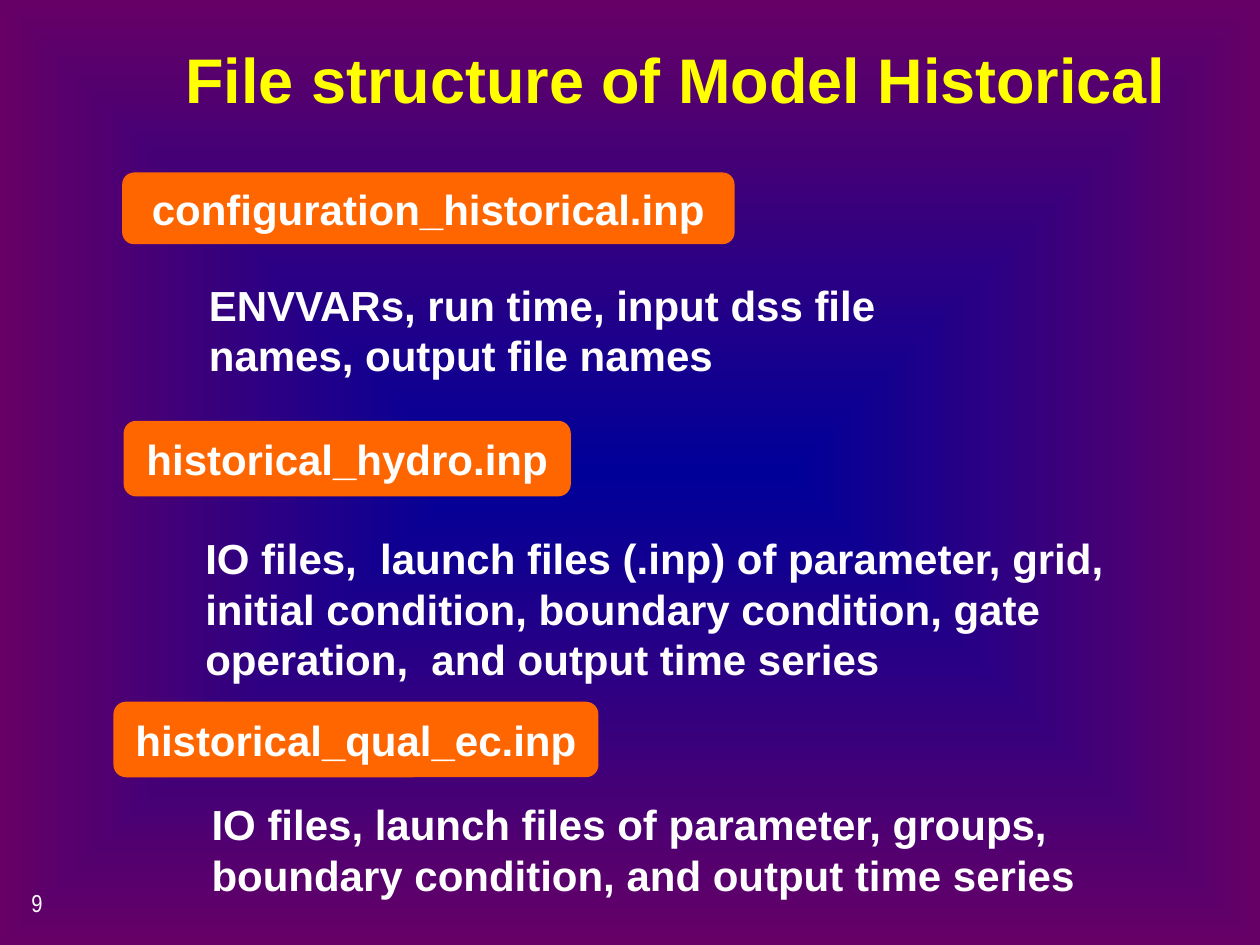
from lxml.etree import SubElement
from pptx import Presentation
from pptx.dml.color import RGBColor
from pptx.enum.shapes import MSO_SHAPE
from pptx.enum.text import MSO_ANCHOR, MSO_AUTO_SIZE, PP_ALIGN
from pptx.oxml.ns import qn
from pptx.util import Pt

COLORS = {
    "center": "000099",
    "edge": "660066",
    "title": "FFFF00",
    "label": "FF6600",
    "text": "FFFFFF",
}
TITLE = ("File structure of Model Historical", (98, 19.4, 576, 51.1))
PAGE_NUMBER = ("9", (10.8, 504, 149.8, 36))
FILES = [
    ("configuration_historical.inp", (69.8, 98.6, 350, 41)),
    ("historical_hydro.inp", (70.6, 240.5, 255.6, 43.2)),
    ("historical_qual_ec.inp", (64.8, 401, 277.2, 43.2)),
]
DETAILS = [
    ("ENVVARs, run time, input dss file names, output file names",
     (112.3, 156.2, 458.6, 65.5)),
    ("IO files,  launch files (.inp) of parameter, grid, initial condition, "
     "boundary condition, gate operation,  and output time series",
     (110.2, 301, 576.7, 94.3)),
    ("IO files, launch files of parameter, groups, boundary condition, "
     "and output time series",
     (113.8, 452.9, 534.2, 65.5)),
]


def color(name):
    return RGBColor.from_string(COLORS[name])


def paint_background(page):
    fill = page.background.fill
    fill.gradient()
    for stop, name, position in zip(fill.gradient_stops, ("center", "edge"), (0, 1)):
        stop.color.rgb = color(name)
        stop.position = position
    gradient = page.element.find(".//" + qn("a:gradFill"))
    gradient.remove(gradient.find(qn("a:lin")))
    shading = SubElement(gradient, qn("a:path"), {"path": "shape"})
    sides = {side: "50000" for side in "ltrb"}
    SubElement(shading, qn("a:fillToRect"), sides)


def add_text(page, text, place, size=24, font="Arial", tint="text", bold=True,
             align=PP_ALIGN.LEFT, anchor=MSO_ANCHOR.TOP, wrap=True,
             grow=True, fill=None):
    area = [Pt(value) for value in place]
    if fill:
        box = page.shapes.add_shape(MSO_SHAPE.ROUNDED_RECTANGLE, *area)
        box.shadow.inherit = False
        box.fill.solid()
        box.fill.fore_color.rgb = color(fill)
        box.line.fill.background()
    else:
        box = page.shapes.add_textbox(*area)
    frame = box.text_frame
    frame.word_wrap = wrap
    frame.auto_size = MSO_AUTO_SIZE.SHAPE_TO_FIT_TEXT if grow else MSO_AUTO_SIZE.NONE
    frame.vertical_anchor = anchor
    para = frame.paragraphs[0]
    para.alignment = align
    span = para.add_run()
    span.text = text
    span.font.name = font
    span.font.size = Pt(size)
    span.font.bold = bold
    span.font.color.rgb = color(tint)


def main():
    deck = Presentation()
    deck.slide_width, deck.slide_height = Pt(720), Pt(540)
    page = deck.slides.add_slide(deck.slide_layouts[6])
    paint_background(page)
    add_text(page, *PAGE_NUMBER, size=14, font="Arial Narrow", bold=False, grow=False)
    add_text(page, *TITLE, size=36, tint="title", align=PP_ALIGN.CENTER, wrap=False)
    for name, place in FILES:
        add_text(page, name, place, align=PP_ALIGN.CENTER,
                 anchor=MSO_ANCHOR.MIDDLE, grow=False, fill="label")
    for detail, place in DETAILS:
        add_text(page, detail, place)
    deck.save("out.pptx")


if __name__ == "__main__":
    main()
